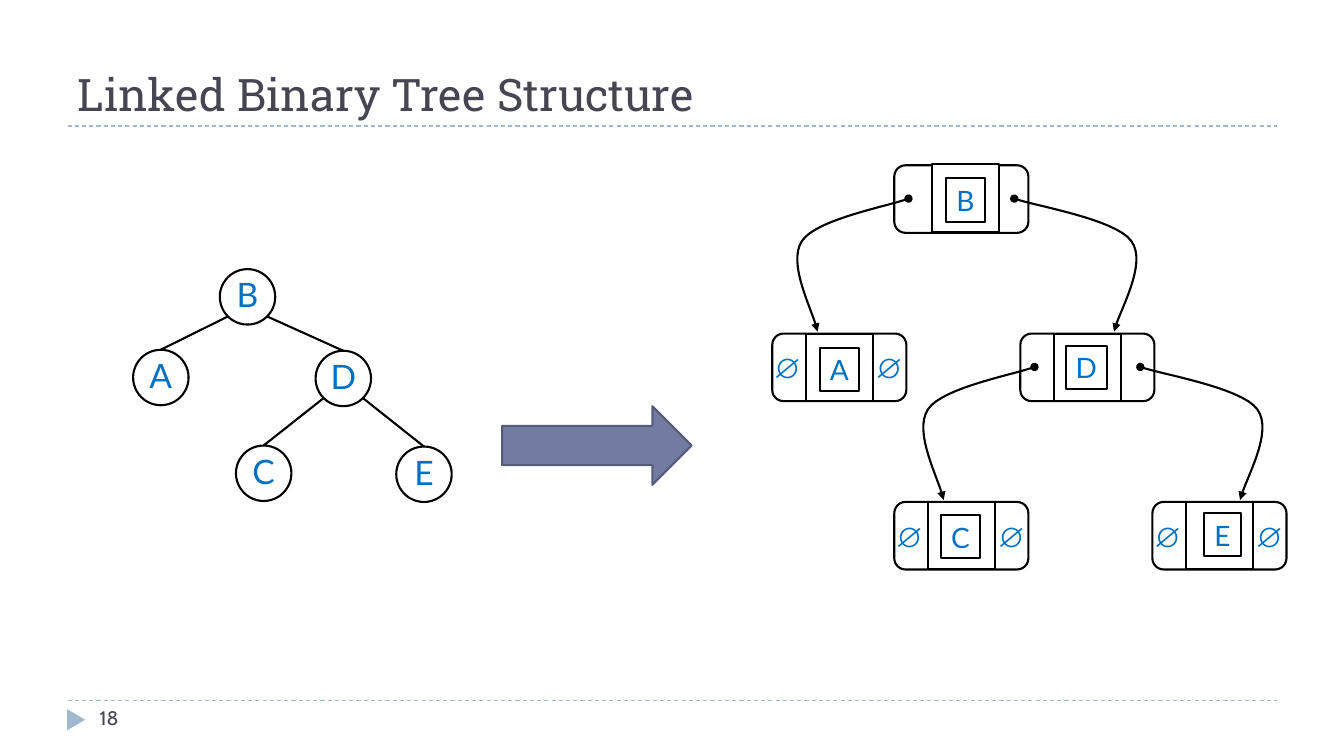
from dataclasses import dataclass
from math import sqrt

from lxml.etree import SubElement
from pptx import Presentation
from pptx.dml.color import RGBColor
from pptx.enum.dml import MSO_LINE
from pptx.enum.shapes import MSO_CONNECTOR as Connector, MSO_SHAPE as Preset
from pptx.enum.text import MSO_ANCHOR as Anchor, MSO_AUTO_SIZE as AutoSize, PP_ALIGN as Align
from pptx.oxml.ns import qn
from pptx.util import Inches, Pt

BLACK, WHITE, BLUE = "000000", "FFFFFF", "0070C0"
INK, PALE = "464653", "9FB8CD"
CIRCLE = 0.55
NODE_WIDTH, NODE_HEIGHT = 1.33, 0.67
POINTER_CURVE = [(0, 0), (0.19, 0.07), (1, 0.2), (1.16, 0.42),
                 (1.33, 0.65), (1.03, 1.13), (0.99, 1.32)]
CURVE_STEPS = 16


@dataclass
class TreeNode:
    label: str
    left: float
    top: float
    parent: str = ""
    side: int = 0


@dataclass
class LinkedNode:
    label: str
    left: float
    top: float
    box_left: float
    box_top: float
    box_width: float = 0.39
    cell_left: float = 0.33
    cell_top: float = 0
    has_children: bool = False


TREE = [
    TreeNode("B", 2.18, 2.67),
    TreeNode("A", 1.32, 3.47, "B", -1),
    TreeNode("D", 3.13, 3.48, "B", 1),
    TreeNode("C", 2.34, 4.42, "D", -1),
    TreeNode("E", 3.93, 4.43, "D", 1),
]
LINKED = [
    LinkedNode("B", 8.87, 1.64, 0.51, 0.13, cell_left=0.37, cell_top=-0.01, has_children=True),
    LinkedNode("A", 7.66, 3.31, 0.47, 0.14),
    LinkedNode("D", 10.12, 3.31, 0.45, 0.12, 0.41, has_children=True),
    LinkedNode("C", 8.87, 4.98, 0.46, 0.13),
    LinkedNode("E", 11.43, 4.98, 0.51, 0.11, 0.37),
]


def color(value: str) -> RGBColor:
    return RGBColor.from_string(value)


def write(shape, text: str, size: float, font: str, tint: str, align=Align.CENTER,
          bold: bool = False, **frame_format) -> None:
    frame = shape.text_frame
    settings = {"word_wrap": False, "auto_size": AutoSize.NONE, "vertical_anchor": Anchor.TOP}
    for name, value in (settings | frame_format).items():
        setattr(frame, name, value)
    paragraph = frame.paragraphs[0]
    paragraph.alignment = align
    run = paragraph.add_run()
    run.text = text
    for name, value in {"size": Pt(size), "name": font, "bold": bold}.items():
        setattr(run.font, name, value)
    run.font.color.rgb = color(tint)


def add_shape(slide, preset, left: float, top: float, width: float, height: float,
              fill: str = WHITE, line: str = BLACK):
    shape = slide.shapes.add_shape(preset, *map(Inches, (left, top, width, height)))
    shape.shadow.inherit = False
    shape.fill.solid()
    shape.fill.fore_color.rgb = color(fill)
    if line:
        shape.line.color.rgb = color(line)
        shape.line.width = Pt(1.5)
    else:
        shape.line.fill.background()
    return shape


def add_text(slide, left: float, top: float, width: float, height: float, *text, **text_format):
    box = slide.shapes.add_textbox(*map(Inches, (left, top, width, height)))
    write(box, *text, **text_format)


def add_line(slide, start: tuple, end: tuple, tint: str = BLACK, width: float = 1.5, dash=None):
    line = slide.shapes.add_connector(Connector.STRAIGHT, *map(Inches, start + end))
    line.line.color.rgb = color(tint)
    line.line.width = Pt(width)
    line.line.dash_style = dash
    SubElement(line.element.spPr, qn("a:effectLst"))
    return line


def bezier(points: list, t: float) -> tuple:
    weights = ((1 - t) ** 3, 3 * t * (1 - t) ** 2, 3 * t * t * (1 - t), t ** 3)
    return tuple(sum(w * p[axis] for w, p in zip(weights, points)) for axis in (0, 1))


def add_pointer(slide, left: float, top: float, stretch: float) -> None:
    control = [(left + stretch * x, top + y) for x, y in POINTER_CURVE]
    points = [bezier(control[first:first + 4], step / CURVE_STEPS)
              for first in (0, 3) for step in range(1, CURVE_STEPS + 1)]
    builder = slide.shapes.build_freeform(Inches(left), Inches(top))
    builder.add_line_segments([(Inches(x), Inches(y)) for x, y in points], close=False)
    pointer = builder.convert_to_shape()
    pointer.shadow.inherit = False
    pointer.fill.background()
    pointer.line.color.rgb = color(BLACK)
    pointer.line.width = Pt(1.5)
    outline = pointer.element.spPr.find(qn("a:ln"))
    for tag, kind in {"a:headEnd": "oval", "a:tailEnd": "triangle"}.items():
        SubElement(outline, qn(tag), type=kind)


def add_tree(slide) -> None:
    circles = {}
    for node in TREE:
        circle = add_shape(slide, Preset.OVAL, node.left, node.top, CIRCLE, CIRCLE)
        write(circle, node.label, 24, "Lato", BLUE, vertical_anchor=Anchor.MIDDLE,
              margin_left=0, margin_right=0, margin_top=0, margin_bottom=Inches(0.05))
        circles[node.label] = circle
    places = {node.label: node for node in TREE}
    reach = CIRCLE / 2 / sqrt(2)
    for node in TREE:
        if node.parent:
            parent = places[node.parent]
            start = (parent.left + CIRCLE / 2 + node.side * reach, parent.top + CIRCLE / 2 + reach)
            edge = add_line(slide, start, (node.left + CIRCLE / 2, node.top))
            edge.end_connect(circles[node.label], 0)


def add_linked_node(slide, node: LinkedNode) -> None:
    add_shape(slide, Preset.ROUNDED_RECTANGLE, node.left, node.top, NODE_WIDTH, NODE_HEIGHT)
    add_shape(slide, Preset.RECTANGLE, node.left + node.cell_left, node.top + node.cell_top,
              NODE_HEIGHT, NODE_HEIGHT)
    box = add_shape(slide, Preset.RECTANGLE, node.left + node.box_left,
                    node.top + node.box_top, node.box_width, 0.43)
    write(box, node.label, 20, "Lato", BLUE)
    if not node.has_children:
        for offset in (-0.06, 0.95):
            add_text(slide, node.left + offset, node.top + 0.12, 0.42, 0.43,
                     "∅", 20, "Arial", BLUE, bold=True)


def main() -> None:
    presentation = Presentation()
    presentation.slide_width, presentation.slide_height = Inches(13.33), Inches(7.5)
    slide = presentation.slides.add_slide(presentation.slide_layouts[5])

    title = slide.shapes.title
    for name, value in {"left": 0.67, "top": 0.17, "width": 12, "height": 1.08}.items():
        setattr(title, name, Inches(value))
    write(title, "Linked Binary Tree Structure", 32, "Roboto Slab", INK, Align.LEFT,
          word_wrap=True, vertical_anchor=Anchor.BOTTOM)
    for height in (1.25, 6.95):
        add_line(slide, (0.67, height), (12.67, height), PALE, 0.75, MSO_LINE.DASH)
    marker = add_shape(slide, Preset.ISOSCELES_TRIANGLE, 0.65, 7.05, 0.21, 0.18, PALE, "")
    marker.rotation = 90
    add_text(slide, 0.89, 6.95, 2.89, 0.4, "18", 14, "Cabin", INK, Align.LEFT)

    add_tree(slide)
    for node in LINKED:
        add_linked_node(slide, node)
    for node in LINKED:
        if node.has_children:
            add_pointer(slide, node.left + 0.14, node.top + 0.33, -0.91)
            add_pointer(slide, node.left + 1.19, node.top + 0.33, 1)
    add_shape(slide, Preset.RIGHT_ARROW, 4.98, 4.03, 1.88, 0.78, "727CA3", "545C79")

    presentation.save("out.pptx")


if __name__ == "__main__":
    main()
